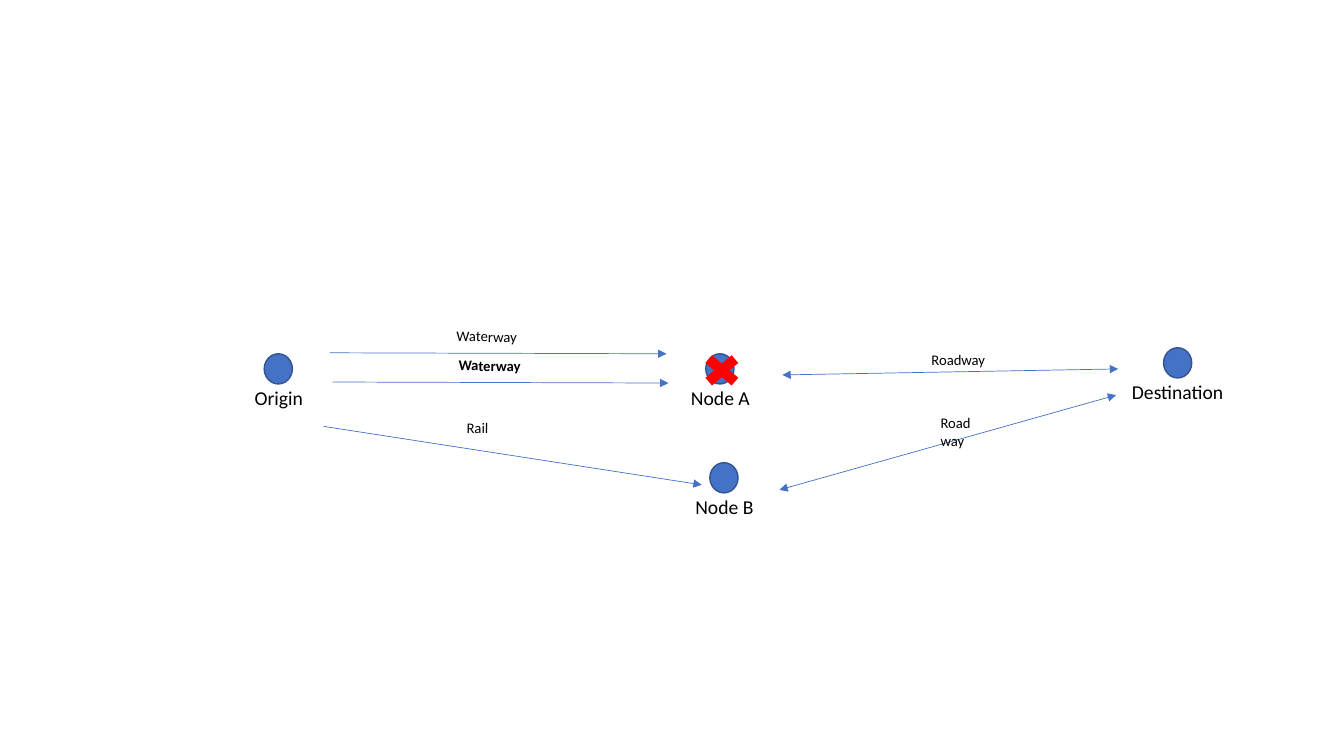
from lxml import etree
from pptx import Presentation
from pptx import util as u
from pptx.dml.color import RGBColor
from pptx.enum import shapes, text
from pptx.oxml.ns import qn

EMU_PER_PX = 9144
COLORS = {"blue": "4472C4", "outline": "325491", "red": "FF0000", "text": "000000"}


class RouteMap:
    font = "Calibri"
    node_size = (28, 30)

    def __init__(self, slide):
        self.slide = slide

    def px(self, *lengths):
        return [u.Emu(length * EMU_PER_PX) for length in lengths]

    def color(self, name):
        return RGBColor.from_string(COLORS[name])

    def group(self):
        return self.slide.shapes.add_group_shape().shapes

    def shape(self, parent, kind, box, fill, outline=None):
        shape = parent.add_shape(kind, *self.px(*box))
        shape.shadow.inherit = False
        shape.fill.solid()
        shape.fill.fore_color.rgb = self.color(fill)
        if outline:
            shape.line.color.rgb = self.color(outline)
            shape.line.width = u.Pt(1)
        else:
            shape.line.fill.background()

    def label(self, parent, words, box, size, align=None, bold=False, rotation=0):
        label = parent.add_textbox(*self.px(*box))
        label.rotation = rotation
        frame = label.text_frame
        frame.word_wrap = True
        frame.auto_size = text.MSO_AUTO_SIZE.SHAPE_TO_FIT_TEXT
        frame.text = words
        paragraph = frame.paragraphs[0]
        paragraph.alignment = align
        font = paragraph.runs[0].font
        font.name, font.size, font.bold = self.font, u.Pt(size), bold
        font.color.rgb = self.color("text")

    def node(self, name, left, top, label_width=89):
        """Draw a circle with its name centred below."""
        group = self.group()
        width, height = self.node_size
        self.shape(group, shapes.MSO_SHAPE.OVAL, (left, top, width, height), "blue", "outline")
        label_left = left + width // 2 - label_width // 2
        self.label(group, name, (label_left, top + 27, label_width, 34), 14,
                   align=text.PP_ALIGN.CENTER)

    def link(self, name, start, end, label_box, rotation, two_way=False, bold=False):
        """Draw a labelled arrow."""
        group = self.group()
        arrow = group.add_connector(shapes.MSO_CONNECTOR.STRAIGHT, *self.px(*start, *end))
        arrow.line.color.rgb = self.color("blue")
        arrow.line.width = u.Pt(0.5)
        line = arrow.line._get_or_add_ln()
        for tag in ("a:headEnd", "a:tailEnd") if two_way else ("a:tailEnd",):
            etree.SubElement(line, qn(tag), type="triangle")
        etree.SubElement(arrow._element.spPr, qn("a:effectLst"))
        self.label(group, name, label_box, 10.5, bold=bold, rotation=rotation)

    def closed_mark(self, box):
        self.shape(self.slide.shapes, shapes.MSO_SHAPE.MATH_MULTIPLY, box, "red")


def main():
    presentation = Presentation()
    presentation.slide_width = u.Inches(13.33)
    presentation.slide_height = u.Inches(7.5)
    route_map = RouteMap(presentation.slides.add_slide(presentation.slide_layouts[6]))

    route_map.node("Origin", 262, 351)
    route_map.node("Destination", 1154, 345, label_width=122)
    route_map.node("Node A", 700, 351)
    route_map.link("Waterway", (327, 350), (661, 351), (443, 320, 97, 28), 0.9)
    route_map.link("Roadway", (776, 372), (1109, 366), (914, 343, 75, 28), 359.8, two_way=True)
    route_map.link("Waterway", (330, 379), (663, 380), (445, 349, 97, 28), 0.9, bold=True)
    route_map.node("Node B", 704, 459)
    route_map.link("Rail", (321, 423), (696, 481), (453, 411, 112, 28), 0.9)
    route_map.link("Roadway", (773, 486), (1107, 392), (923, 406, 58, 36), 359.8, two_way=True)
    route_map.closed_mark((691, 346, 50, 43))

    presentation.save("out.pptx")


if __name__ == "__main__":
    main()
